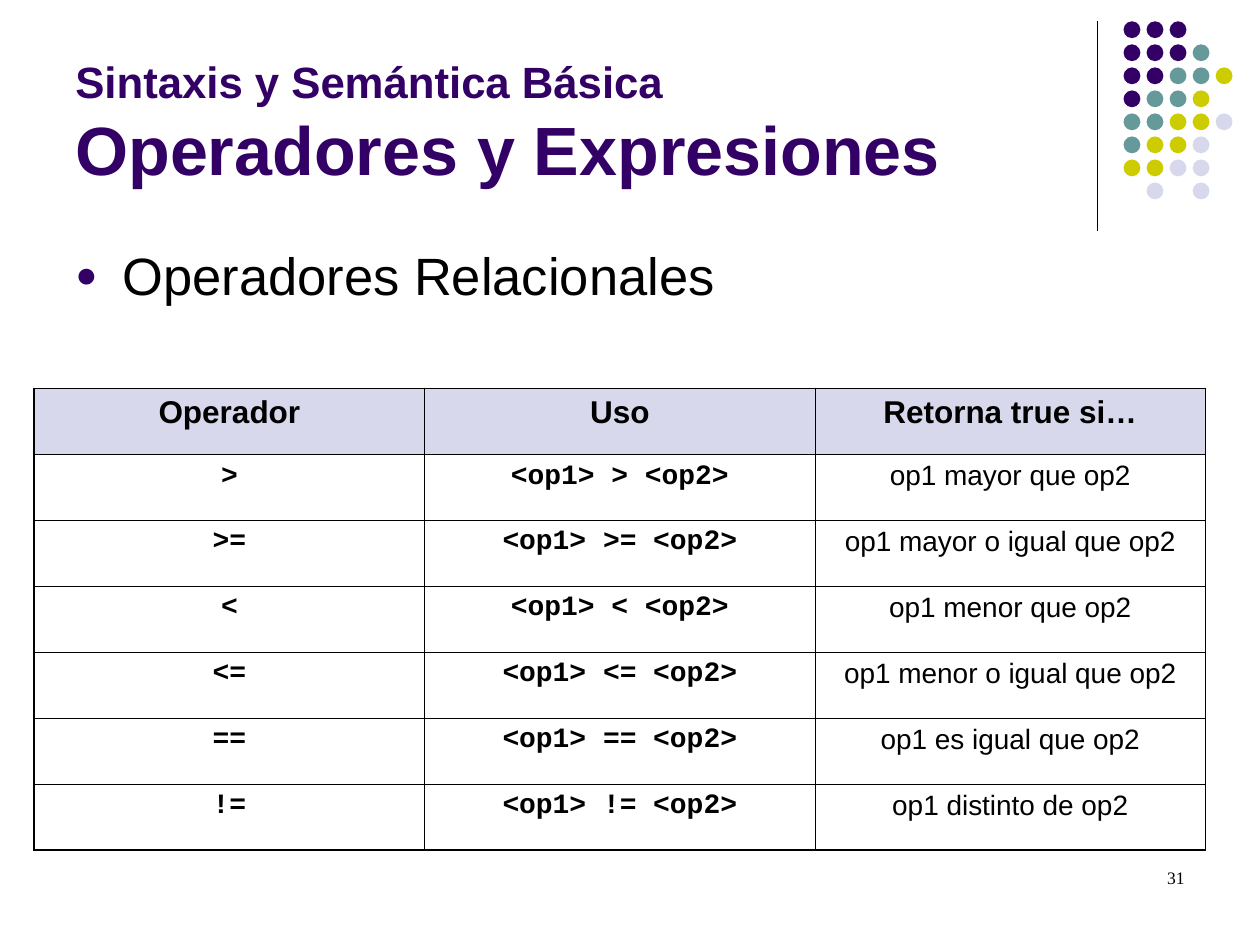
from lxml.etree import SubElement
from pptx import Presentation
from pptx.dml.color import RGBColor
from pptx.enum.shapes import MSO_CONNECTOR, MSO_SHAPE
from pptx.enum.text import MSO_ANCHOR, PP_ALIGN
from pptx.oxml.ns import qn
from pptx.util import Cm, Pt

PURPLE = RGBColor(0x33, 0x00, 0x66)
TEAL = RGBColor(0x66, 0x99, 0x99)
OLIVE = RGBColor(0xCC, 0xCC, 0x00)
LILAC = RGBColor(0xD8, 0xD8, 0xEC)
BLACK = RGBColor(0x00, 0x00, 0x00)


def write(par, text, size=16, font="Arial", color=BLACK, bold=False, align=None):
    run = par.add_run()
    run.text = text
    run.font.size = Pt(size)
    run.font.name = font
    run.font.bold = bold
    run.font.color.rgb = color
    if align is not None:
        par.alignment = align


def add_box(left, top, width, height, anchor=MSO_ANCHOR.TOP):
    frame = slide.shapes.add_textbox(Cm(left), Cm(top), Cm(width), Cm(height)).text_frame
    frame.word_wrap = True
    frame.vertical_anchor = anchor
    return frame.paragraphs[0]


deck = Presentation()
deck.slide_width, deck.slide_height = Cm(25.4), Cm(19.05)
slide = deck.slides.add_slide(deck.slide_layouts[6])

# Vertical rule
rule = slide.shapes.add_connector(
    MSO_CONNECTOR.STRAIGHT, Cm(22.12), Cm(0.43), Cm(22.12), Cm(4.65))
rule.line.color.rgb = BLACK
rule.line.width = Pt(0.75)
SubElement(rule._element.spPr, qn("a:effectLst"))

# Dot grid, one letter per dot
tones = {"P": PURPLE, "T": TEAL, "O": OLIVE, "L": LILAC}
dots = ["PPP", "PPPT", "PPTTO", "PTTO", "TTOOL", "TOOL", "OOLL", ".L.L"]
pitch = 3.25 / 7
for row, line in enumerate(dots):
    for col, tone in enumerate(line):
        if tone in tones:
            dot = slide.shapes.add_shape(
                MSO_SHAPE.OVAL, Cm(22.65 + col * pitch), Cm(0.43 + row * pitch),
                Cm(0.34), Cm(0.34))
            dot.shadow.inherit = False
            dot.fill.solid()
            dot.fill.fore_color.rgb = tones[tone]
            dot.line.fill.background()

# Title
title = add_box(1.27, 0.33, 20.96, 3.61, MSO_ANCHOR.BOTTOM)
write(title, "Sintaxis y Semántica Básica", size=25, color=PURPLE, bold=True)
title.add_line_break()
write(title, "Operadores y Expresiones", size=39, color=PURPLE, bold=True)

# Bulleted heading
item = add_box(1.27, 4.78, 22.63, 3.2)
props = item._p.get_or_add_pPr()
props.set("marL", str(Cm(0.95)))
props.set("indent", str(-Cm(0.95)))
tint = SubElement(props, qn("a:buClr"))
SubElement(tint, qn("a:srgbClr"), val=str(PURPLE))
SubElement(props, qn("a:buSzPct"), val="70000")
SubElement(props, qn("a:buFont"), typeface="Arial")
SubElement(props, qn("a:buChar"), char="●")
write(item, "Operadores Relacionales", size=30)

# Table of operators
facts = [
    (">", "op1 mayor que op2"),
    (">=", "op1 mayor o igual que op2"),
    ("<", "op1 menor que op2"),
    ("<=", "op1 menor o igual que op2"),
    ("==", "op1 es igual que op2"),
    ("!=", "op1 distinto de op2"),
]
rows = [("Operador", "Uso", "Retorna true si…")]
rows += [(sign, f"<op1> {sign} <op2>", note) for sign, note in facts]
last = len(rows) - 1
table = slide.shapes.add_table(
    len(rows), 3, Cm(0.69), Cm(7.83), Cm(23.61), Cm(9.31)).table
for r, row in enumerate(rows):
    for c, text in enumerate(row):
        cell = table.cell(r, c)
        par = cell.text_frame.paragraphs[0]
        if r == 0:
            write(par, text, size=18, bold=True, align=PP_ALIGN.CENTER)
        elif c < 2:
            write(par, text, font="Courier New", bold=True, align=PP_ALIGN.CENTER)
        else:
            write(par, text, align=PP_ALIGN.CENTER)
        # Outer edges are heavier than inner ones
        edges = {"lnL": c == 0, "lnR": c == 2, "lnT": r == 0, "lnB": r == last}
        for edge, outer in edges.items():
            width = Pt(1.08) if outer else Pt(0.45)
            line = SubElement(cell._tc.get_or_add_tcPr(), qn(f"a:{edge}"), w=str(width))
            paint = SubElement(line, qn("a:solidFill"))
            SubElement(paint, qn("a:srgbClr"), val=str(BLACK))
        if r == 0:
            cell.fill.solid()
            cell.fill.fore_color.rgb = LILAC
        else:
            cell.fill.background()

# Page number
page = add_box(18.21, 17.35, 5.92, 1.27)
write(page, "31", size=10, font="Times New Roman", align=PP_ALIGN.RIGHT)

deck.save("out.pptx")
